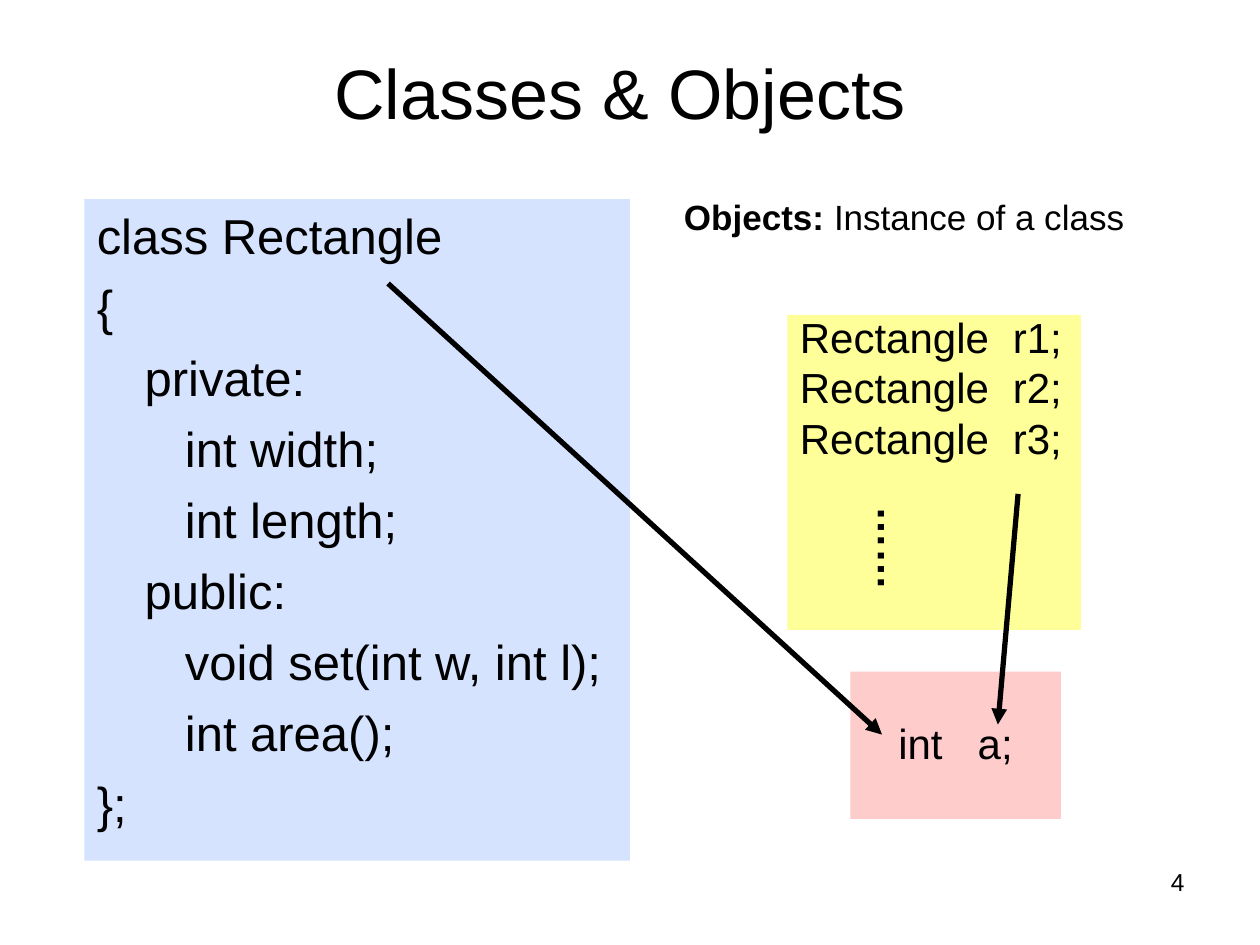
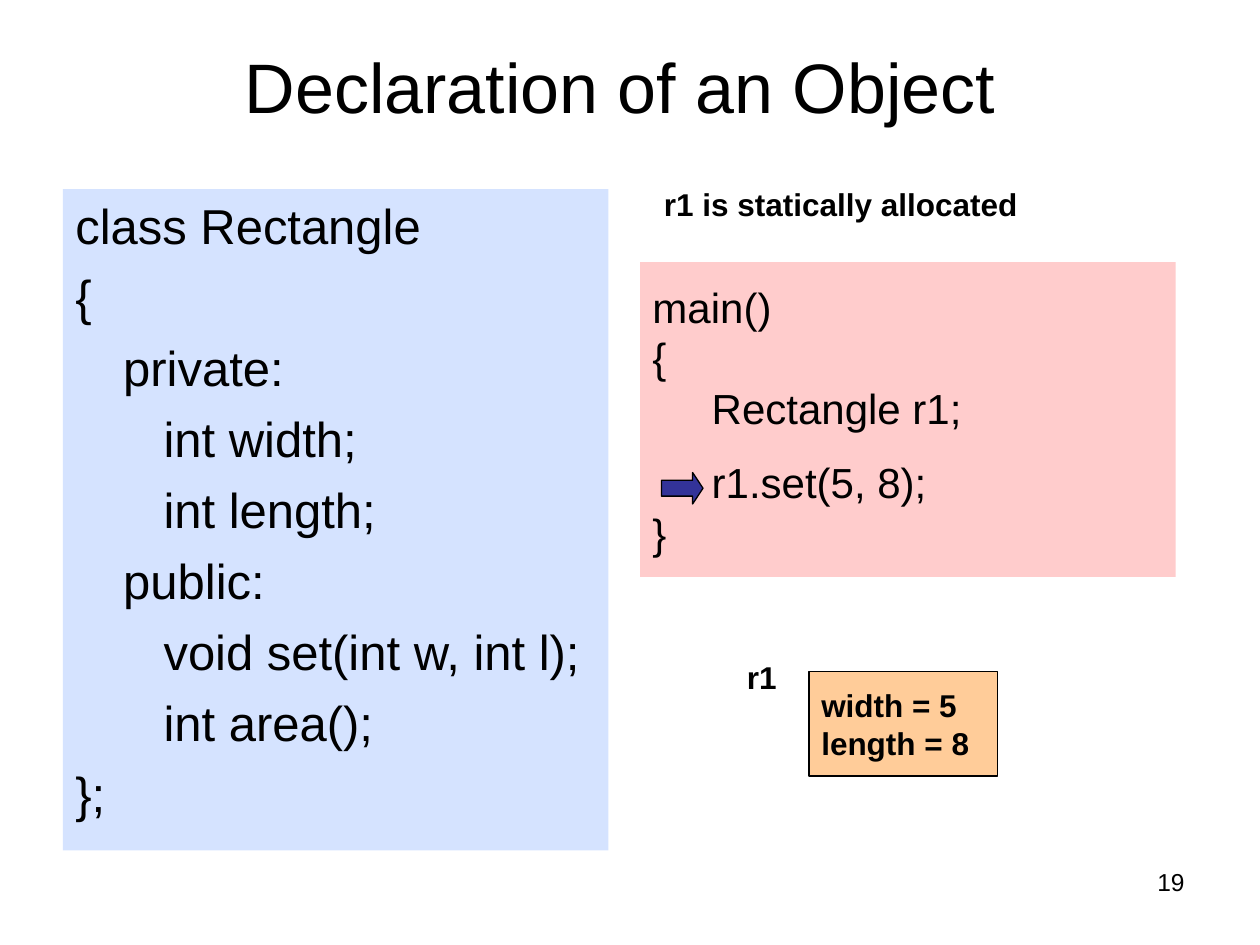
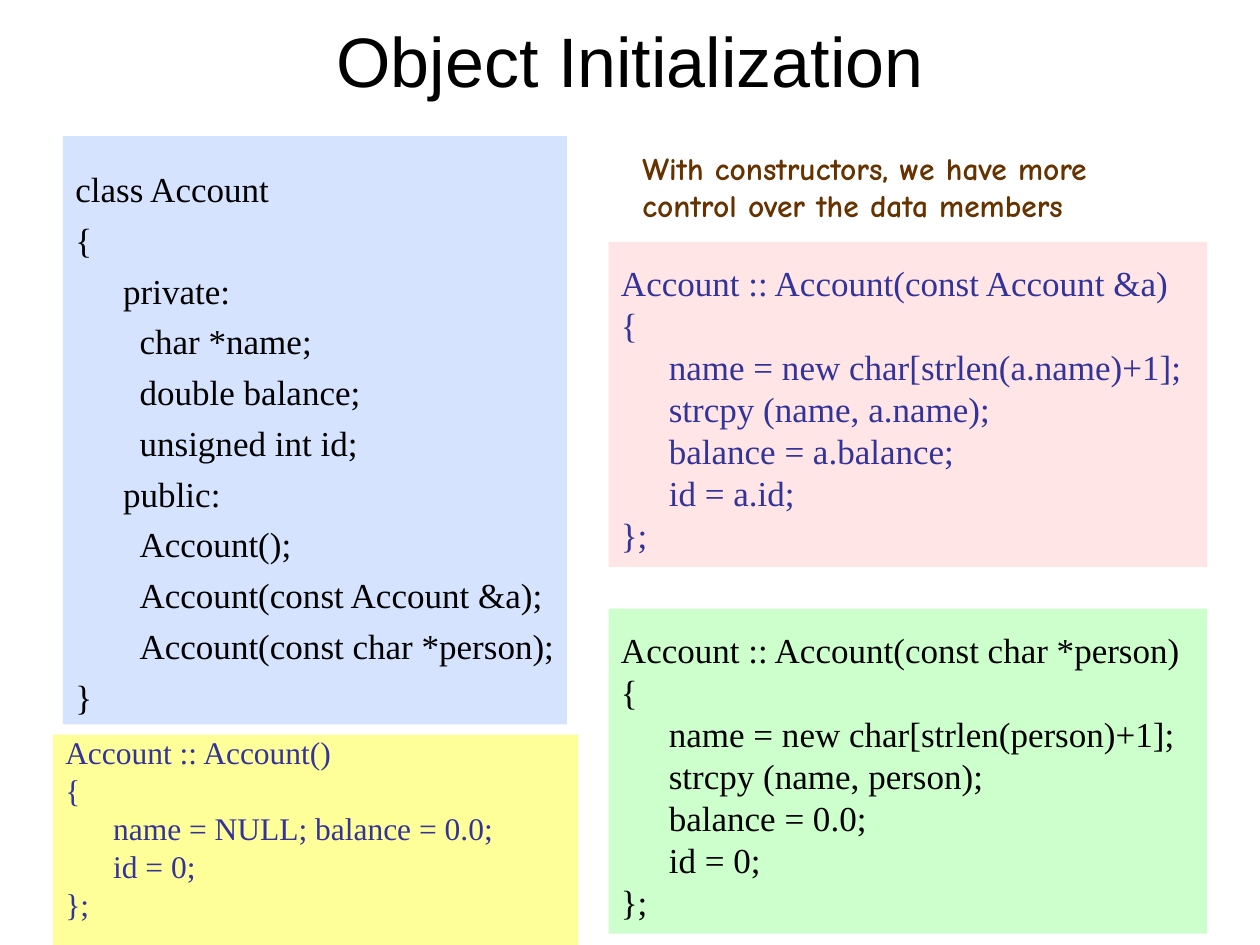
from dataclasses import dataclass

from lxml import etree
from pptx import Presentation
from pptx import util as u
from pptx.dml.color import RGBColor
from pptx.enum import shapes, text
from pptx.oxml.ns import qn

Inches, Pt = u.Inches, u.Pt
COLORS = {
    "black": "000000", "blue": "D5E3FF", "yellow": "FFFF99", "pink": "FFCCCC",
    "pale pink": "FFE5E5", "green": "CCFFCC", "orange": "FFCC99",
    "indigo": "333399", "brown": "663300",
}
SANS, SERIF, COMIC = "Arial", "Times New Roman", "Comic Neue"
INDENT = 0.38


@dataclass
class Place:
    left: float
    top: float
    width: float
    height: float

    def lengths(self) -> list:
        return [Inches(n) for n in (self.left, self.top, self.width, self.height)]


@dataclass
class Line:
    """One line of code: its text, left indent in inches and extra gap above in points."""
    words: str
    indent: float = 0
    gap: float = 0


@dataclass
class CodeBox:
    place: Place
    fill: str
    lines: list
    size: int = 20
    font: str = SERIF
    color: str = "black"
    spacing: float = 0.8
    inset_top: float = 0.05
    inset_left: float = 0.1
    tab: float = 0


@dataclass
class Label:
    place: Place
    lines: list
    size: int = 18
    font: str = SANS
    color: str = "black"
    bold: bool = True
    align: text.PP_ALIGN = text.PP_ALIGN.LEFT
    wrap: bool = False


def rgb(name: str) -> RGBColor:
    return RGBColor.from_string(COLORS[name])


def write(para, words: str, *, size: int, font: str = SANS,
          color: str = "black", bold: bool = False) -> None:
    span = para.add_run()
    span.text = words
    span.font.size, span.font.name, span.font.bold = Pt(size), font, bold
    span.font.color.rgb = rgb(color)


def next_para(frame, index: int):
    return frame.add_paragraph() if index else frame.paragraphs[0]


def add_tab_stop(para, position: float) -> None:
    stops = etree.SubElement(para._p.get_or_add_pPr(), qn("a:tabLst"))
    etree.SubElement(stops, qn("a:tab"), pos=str(Inches(position)), algn="l")


def add_block(page, place: Place, fill: str, *, outline: bool = False,
              kind=shapes.MSO_SHAPE.RECTANGLE):
    block = page.shapes.add_shape(kind, *place.lengths())
    block.shadow.inherit = False
    block.fill.solid()
    block.fill.fore_color.rgb = rgb(fill)
    if outline:
        block.line.color.rgb = rgb("black")
        block.line.width = Pt(0.75)
    else:
        block.line.fill.background()
    return block


def add_code(page, code: CodeBox) -> None:
    frame = add_block(page, code.place, code.fill).text_frame
    frame.word_wrap = True
    frame.vertical_anchor = text.MSO_ANCHOR.TOP
    frame.margin_top, frame.margin_left = Inches(code.inset_top), Inches(code.inset_left)
    gap = code.size * (0.25 if code.spacing == 1 else 0.24)
    for index, line in enumerate(code.lines):
        para = next_para(frame, index)
        para.alignment = text.PP_ALIGN.LEFT
        para.line_spacing = code.spacing
        para.space_before = Pt(gap + line.gap if index else 0)
        para._p.get_or_add_pPr().set("marL", str(Inches(line.indent)))
        if code.tab:
            add_tab_stop(para, code.tab)
        write(para, line.words, size=code.size, font=code.font, color=code.color)


def add_label(page, label: Label):
    box = page.shapes.add_textbox(*label.place.lengths())
    box.text_frame.word_wrap = label.wrap
    for index, words in enumerate(label.lines):
        para = next_para(box.text_frame, index)
        para.alignment = label.align
        write(para, words, size=label.size, font=label.font,
              color=label.color, bold=label.bold)
    return box


def add_arrow(page, start: tuple, end: tuple) -> None:
    ends = [Inches(n) for n in (*start, *end)]
    arrow = page.shapes.add_connector(shapes.MSO_CONNECTOR.STRAIGHT, *ends)
    arrow.line.color.rgb = rgb("black")
    arrow.line.width = Pt(3)
    properties = arrow._element.spPr
    etree.SubElement(properties.find(qn("a:ln")), qn("a:tailEnd"), type="triangle")
    etree.SubElement(properties, qn("a:effectLst"))


def add_page(deck, title: str, place: Place, number: str = ""):
    page = deck.slides.add_slide(deck.slide_layouts[5])
    heading = page.shapes.title
    heading.left, heading.top, heading.width, heading.height = place.lengths()
    frame = heading.text_frame
    frame.auto_size = text.MSO_AUTO_SIZE.NONE
    frame.vertical_anchor = text.MSO_ANCHOR.MIDDLE
    frame.paragraphs[0].alignment = text.PP_ALIGN.CENTER
    write(frame.paragraphs[0], title, size=40)
    if number:
        add_label(page, Label(Place(7.17, 6.83, 2.33, 0.52), [number], size=14,
                              bold=False, align=text.PP_ALIGN.RIGHT, wrap=True))
    return page


def add_rectangle_class(page, left: float, top: float) -> None:
    member = 0.7
    add_code(page, CodeBox(Place(left, top, 4.33, 5.25), "blue", [
        Line("class Rectangle"), Line("{"),
        Line("private:", INDENT),
        Line("int width;", member), Line("int length;", member),
        Line("public:", INDENT),
        Line("void set(int w, int l);", member), Line("int area();", member),
        Line("};")], size=28, font=SANS, spacing=1))


def function(head: str, *body: str) -> list:
    return [Line(head), Line("{"), *(Line(words, INDENT) for words in body), Line("};")]


def build_classes(deck) -> None:
    page = add_page(deck, "Classes & Objects", Place(0.42, 0.38, 9, 0.7), "4")
    add_rectangle_class(page, 0.67, 1.58)

    # Object and variable declarations
    add_code(page, CodeBox(Place(6.25, 2.5, 2.33, 2.5), "yellow",
                           [Line(f"Rectangle\tr{n};") for n in (1, 2, 3)],
                           size=24, font=SANS, tab=1.69))
    dots = add_label(page, Label(Place(6.75, 3.92, 0.6, 0.92), ["……"], size=24, wrap=True))
    dots.text_frame._txBody.bodyPr.set("vert", "eaVert")
    add_code(page, CodeBox(Place(6.75, 5.33, 1.67, 1.17), "pink", [Line("int\ta;")],
                           size=24, font=SANS, inset_top=0.44, inset_left=0.38, tab=0.63))

    # Arrows from each type to its variable
    add_arrow(page, (3.08, 2.25), (7, 5.83))
    add_arrow(page, (8.08, 3.92), (7.92, 5.75))

    note = add_label(page, Label(Place(5.33, 1.5, 3.92, 0.43), ["Objects:"],
                                 size=20, wrap=True))
    write(note.text_frame.paragraphs[0], " Instance of a class", size=20)


def build_declaration(deck) -> None:
    page = add_page(deck, "Declaration of an Object", Place(0.42, 0.33, 9, 0.7), "19")
    add_rectangle_class(page, 0.5, 1.5)

    # Main program and its current step
    step = 0.47
    add_code(page, CodeBox(Place(5.08, 2.08, 4.25, 2.5), "pink", [
        Line("main()"), Line("{"), Line("Rectangle r1;", step),
        Line("r1.set(5, 8);", step, gap=14), Line("}")],
        size=24, font=SANS, inset_top=0.23))
    pointer = add_block(page, Place(5.25, 3.75, 0.33, 0.25), "indigo", outline=True,
                        kind=shapes.MSO_SHAPE.RIGHT_ARROW)
    pointer.adjustments[0], pointer.adjustments[1] = 0.5, 0.33

    # Object in memory
    add_label(page, Label(Place(5.17, 1.42, 3.01, 0.4), ["r1 is statically allocated"]))
    add_label(page, Label(Place(5.83, 5.17, 0.44, 0.4), ["r1"]))
    memory = add_block(page, Place(6.42, 5.33, 1.5, 0.83), "orange", outline=True)
    frame = memory.text_frame
    frame.word_wrap = False
    frame.vertical_anchor = text.MSO_ANCHOR.MIDDLE
    for index, words in enumerate(["width = 5", "length = 8"]):
        para = next_para(frame, index)
        para.alignment = text.PP_ALIGN.LEFT
        write(para, words, size=18, bold=True)


def build_initialization(deck) -> None:
    page = add_page(deck, "Object Initialization", Place(0.5, 0.08, 9, 0.78))
    member = 0.51
    add_code(page, CodeBox(Place(0.5, 1.08, 4, 4.67), "blue", [
        Line("class Account"), Line("{"),
        Line("private:", INDENT),
        Line("char *name;", member), Line("double balance;", member),
        Line("unsigned int id;", member),
        Line("public:", INDENT),
        Line("Account();", member), Line("Account(const Account &a);", member),
        Line("Account(const char *person);", member),
        Line("}")], spacing=1, inset_top=0.25))
    add_label(page, Label(Place(5, 1.13, 4.38, 0.7), [
        "With constructors, we have more", "control over the data members"],
        font=COMIC, color="brown"))

    # Constructors: default, copy, from a name
    add_code(page, CodeBox(
        Place(0.42, 5.83, 4.17, 1.67), "yellow",
        function("Account :: Account()", "name = NULL; balance = 0.0;", "id = 0;"),
        size=18, color="indigo"))
    add_code(page, CodeBox(
        Place(4.83, 1.92, 4.75, 2.58), "pale pink",
        function("Account :: Account(const Account &a)",
                 "name = new char[strlen(a.name)+1];", "strcpy (name, a.name);",
                 "balance = a.balance;", "id = a.id;"),
        color="indigo", inset_top=0.22))
    add_code(page, CodeBox(
        Place(4.83, 4.83, 4.75, 2.58), "green",
        function("Account :: Account(const char *person)",
                 "name = new char[strlen(person)+1];", "strcpy (name, person);",
                 "balance = 0.0;", "id = 0;"),
        inset_top=0.22))


def main() -> None:
    deck = Presentation()
    deck.slide_width, deck.slide_height = Inches(10), Inches(7.5)
    for build in (build_classes, build_declaration, build_initialization):
        build(deck)
    deck.save("out.pptx")


if __name__ == "__main__":
    main()
